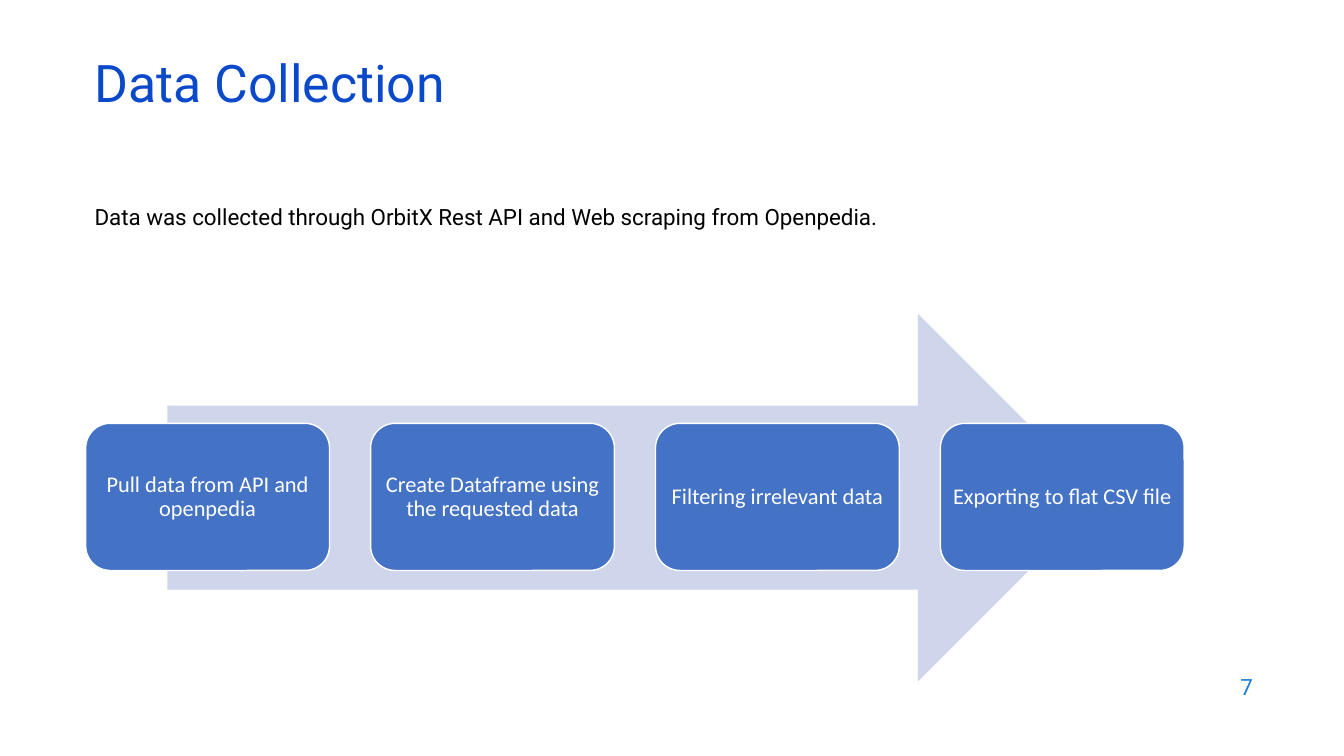
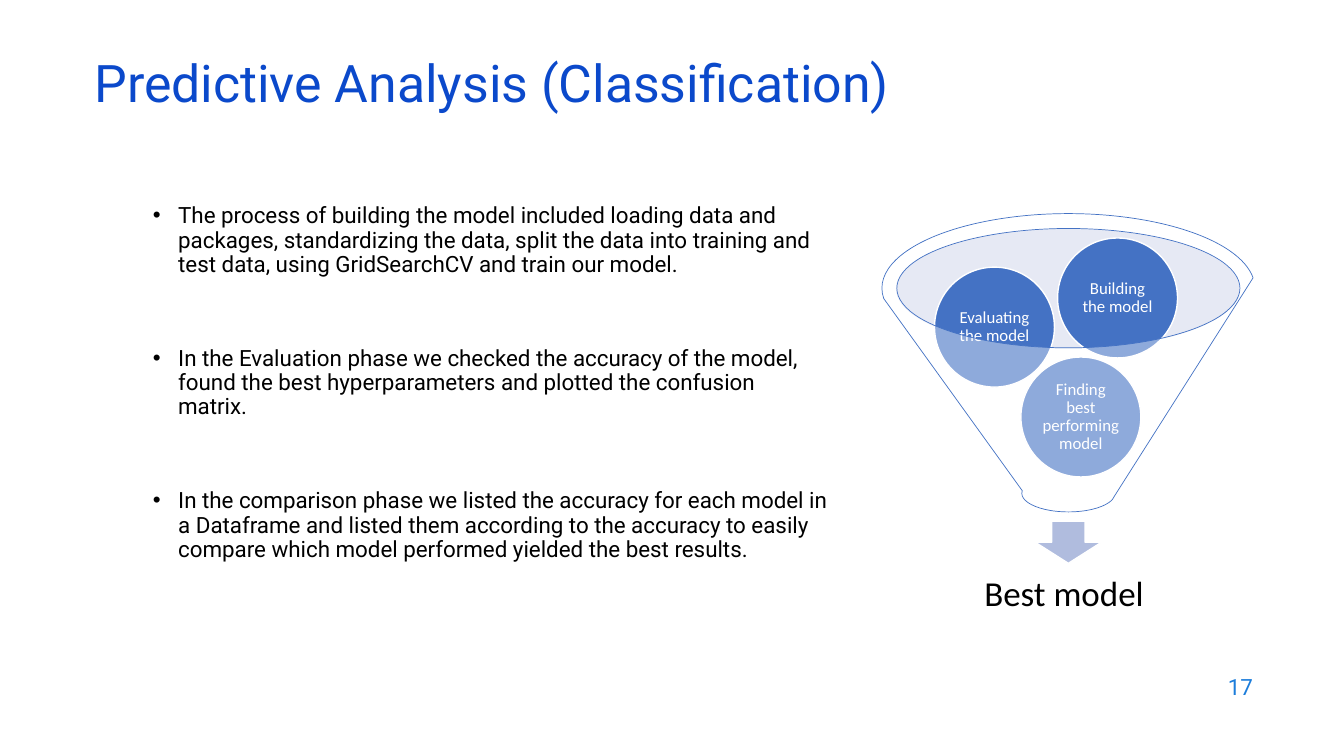
"""Build two slides: a data collection process and a model selection funnel."""
from lxml.etree import SubElement
from pptx import Presentation
from pptx.dml.color import RGBColor
from pptx.enum.shapes import MSO_SHAPE as Preset
from pptx.enum.text import MSO_ANCHOR as Anchor, PP_ALIGN as Align
from pptx.oxml.ns import qn
from pptx.util import Pt

TITLE_BLUE = RGBColor(0x0B, 0x49, 0xCB)
NUMBER_BLUE = RGBColor(0x1C, 0x7D, 0xDB)
STEP_BLUE = RGBColor(0x44, 0x72, 0xC4)
PROCESS_ARROW = RGBColor(0xCF, 0xD5, 0xEA)
FUNNEL_MOUTH = RGBColor(0xC1, 0xC9, 0xE4)
RESULT_ARROW = RGBColor(0xB0, 0xBC, 0xDE)
WHITE = RGBColor(0xFF, 0xFF, 0xFF)
BLACK = RGBColor(0, 0, 0)


def write(shape, lines, size, color, font="Roboto", align=Align.LEFT,
          anchor=Anchor.MIDDLE, spacing=0.9, margin=None, gap=0):
    frame = shape.text_frame
    frame.word_wrap = True
    frame.vertical_anchor = anchor
    if margin is not None:
        frame.margin_left = frame.margin_right = Pt(margin)
        frame.margin_top = frame.margin_bottom = Pt(margin)
    frame.text = "\n".join(lines)
    for index, paragraph in enumerate(frame.paragraphs):
        paragraph.alignment = align
        paragraph.line_spacing = spacing
        if index:
            paragraph.space_before = Pt(gap)
        paragraph.font.name = font
        paragraph.font.size = Pt(size)
        paragraph.font.color.rgb = color


def draw(slide, preset, left, top, width, height, fill, line=None, weight=1, opacity=None):
    shape = slide.shapes.add_shape(preset, Pt(left), Pt(top), Pt(width), Pt(height))
    shape.shadow.inherit = False
    shape.fill.solid()
    shape.fill.fore_color.rgb = fill
    if opacity is not None:
        color = shape.fill._xPr.find(qn("a:solidFill"))[0]
        SubElement(color, qn("a:alpha"), val=str(opacity * 1000))
    if line is None:
        shape.line.fill.background()
    else:
        shape.line.color.rgb = line
        shape.line.width = Pt(weight)
    return shape


deck = Presentation()
deck.slide_width, deck.slide_height = Pt(960), Pt(540)

slides = []
for title, number in (("Data Collection", "7"), ("Predictive Analysis (Classification)", "17")):
    slide = deck.slides.add_slide(deck.slide_layouts[6])
    heading = slide.shapes.add_textbox(Pt(60.5), Pt(42.5), Pt(828), Pt(43.2))
    write(heading, [title], 37, TITLE_BLUE, spacing=0.7)
    page = slide.shapes.add_textbox(Pt(686), Pt(474.5), Pt(216), Pt(31.7))
    write(page, [number], 16, NUMBER_BLUE, align=Align.RIGHT, spacing=1.0)
    slides.append(slide)
collection, analysis = slides

summary = collection.shapes.add_textbox(Pt(60.5), Pt(144), Pt(828), Pt(40))
write(summary, ["Data was collected through OrbitX Rest API and Web scraping from Openpedia."],
      16, BLACK, anchor=Anchor.TOP)

draw(collection, Preset.RIGHT_ARROW, 119.5, 224, 667.5, 262.8, PROCESS_ARROW)
steps = (
    "Pull data from API and openpedia",
    "Create Dataframe using the requested data",
    "Filtering irrelevant data",
    "Exporting to flat CSV file",
)
for index, step in enumerate(steps):
    card = draw(collection, Preset.ROUNDED_RECTANGLE, 61.2 + index * 203.5, 302.4,
                174.2, 105.1, STEP_BLUE, WHITE)
    write(card, [step], 16, WHITE, "Calibri", Align.CENTER, margin=3)

phases = analysis.shapes.add_textbox(Pt(66.2), Pt(142.6), Pt(533.5), Pt(355))
phase_texts = (
    "The process of building the model included loading data and packages, standardizing "
    "the data, split the data into training and test data, using GridSearchCV and train our model.",
    "In the Evaluation phase we checked the accuracy of the model, found the best "
    "hyperparameters and plotted the confusion matrix.",
    "In the comparison phase we listed the accuracy for each model in a Dataframe and listed "
    "them according to the accuracy to easily compare which model performed yielded the best results.",
)
write(phases, phase_texts, 16, BLACK, anchor=Anchor.TOP, gap=50)
for paragraph in phases.text_frame.paragraphs:
    properties = paragraph._p.get_or_add_pPr()
    properties.set("marL", str(Pt(54)))
    properties.set("indent", str(Pt(-18)))
    SubElement(properties, qn("a:buFont"), typeface="Arial")
    SubElement(properties, qn("a:buChar"), char="•")
    properties.append(properties.find(qn("a:defRPr")))

draw(analysis, Preset.OVAL, 640, 163.4, 245.5, 85.7, FUNNEL_MOUTH, opacity=40)
draw(analysis, Preset.DOWN_ARROW, 739.4, 372.2, 47.5, 30.2, RESULT_ARROW, WHITE)
result = analysis.shapes.add_textbox(Pt(645.5), Pt(396.7), Pt(229), Pt(56.9))
write(result, ["Best model"], 25, BLACK, "Calibri", Align.CENTER, margin=13.5)

for phase, left, top in (
    ("Finding best performing model", 729.2, 255),
    ("Evaluating the model", 667.5, 190.8),
    ("Building the model", 755.4, 170),
):
    ball = draw(analysis, Preset.OVAL, left, top, 85.7, 85.7, STEP_BLUE, WHITE)
    write(ball, [phase], 12, WHITE, "Calibri", Align.CENTER, margin=1.5)
draw(analysis, Preset.FUNNEL, 630, 152.6, 266.4, 213.1, WHITE, STEP_BLUE, 0.5, 40)

deck.save("out.pptx")
